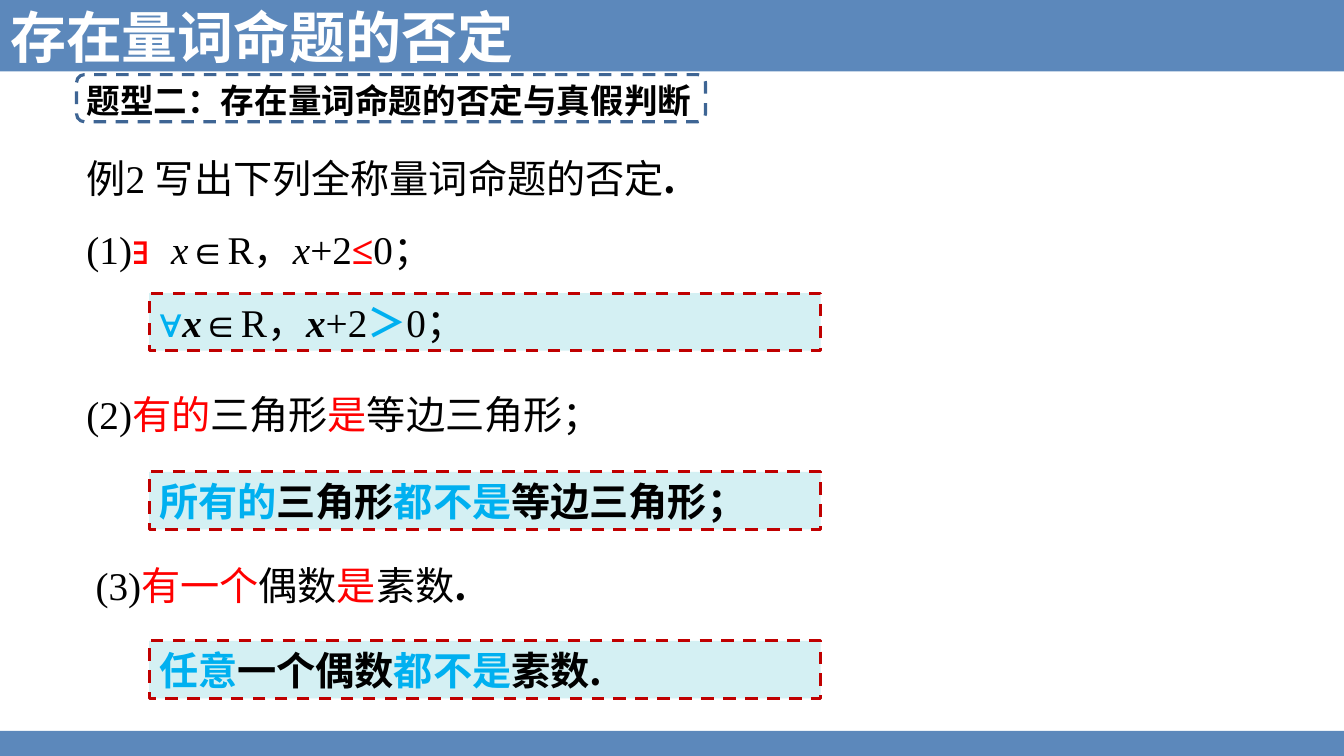
from pptx import Presentation
from pptx.dml.color import RGBColor
from pptx.enum import dml, shapes, text
from pptx.oxml import ns
from pptx.util import Cm, Pt
from lxml import etree

BLUE = RGBColor(0x5C, 0x88, 0xBB)
NAVY = RGBColor(0x3E, 0x65, 0x94)
SKY = RGBColor(0x00, 0xB0, 0xF0)
RED = RGBColor(0xFF, 0x00, 0x00)
WINE = RGBColor(0xC0, 0x00, 0x00)
PALE = RGBColor(0xD4, 0xF0, 0xF3)
BLACK = RGBColor(0x00, 0x00, 0x00)
WHITE = RGBColor(0xFF, 0xFF, 0xFF)
SANS = "Noto Sans CJK SC"
SERIF = "Times New Roman"
LEFT = Cm(1.93)


def style(run, size, color, face, bold=False, slant=False):
    """Format a run; Chinese glyphs always use the sans face."""
    font = run.font
    font.size, font.name = Pt(size), face
    font.bold, font.italic = bold, slant
    font.color.rgb = color
    east = etree.SubElement(run._r.get_or_add_rPr(), ns.qn("a:ea"))
    east.set("typeface", SANS)


def write(para, parts, face=SERIF, bold=False, space=None):
    """Fill a paragraph with (words, colour, flags); b is bold, i italic, s sans."""
    para.alignment = text.PP_ALIGN.JUSTIFY
    if space:
        para.line_spacing = space
    for words, color, flags in parts:
        run = para.add_run()
        run.text = words
        style(run, 28, color, SANS if "s" in flags else face,
              bold or "b" in flags, "i" in flags)


def add_text(slide, left, top, width, height, wrap=True):
    frame = slide.shapes.add_textbox(left, top, width, height).text_frame
    frame.word_wrap = wrap
    return frame


def add_box(slide, kind, left, top, width, height, fill=None, line=None):
    """Add a plain shape, with a dashed outline if a line colour is given."""
    box = slide.shapes.add_shape(kind, left, top, width, height)
    box.shadow.inherit = False
    if fill is None:
        box.fill.background()
    else:
        box.fill.solid()
        box.fill.fore_color.rgb = fill
    if line is None:
        box.line.fill.background()
    else:
        box.line.color.rgb = line
        box.line.width = Pt(2.25)
        box.line.dash_style = dml.MSO_LINE.DASH
    return box


def add_title(slide, words):
    title = slide.shapes.title
    title.left, title.top, title.width, title.height = 0, 0, Cm(17.27), Cm(1.83)
    frame = title.text_frame
    frame.text = words
    frame.auto_size = text.MSO_AUTO_SIZE.NONE
    frame.vertical_anchor = text.MSO_ANCHOR.MIDDLE
    frame.paragraphs[0].alignment = text.PP_ALIGN.LEFT
    style(frame.paragraphs[0].runs[0], 40, WHITE, SANS, True)


def add_bands(slide, width):
    """Put the top and bottom bands behind the title."""
    for top, height in ((0, Cm(1.8)), (Cm(18.42), Cm(0.63))):
        band = add_box(slide, shapes.MSO_SHAPE.RECTANGLE, 0, top, width, height, BLUE)
        slide.shapes.title.element.addprevious(band.element)


def add_topic(slide, words):
    frame = add_text(slide, LEFT, Cm(1.9), Cm(18.75), Cm(1.27))
    frame.text = words
    style(frame.paragraphs[0].runs[0], 24, BLACK, SANS, True)
    add_box(slide, shapes.MSO_SHAPE.ROUNDED_RECTANGLE, LEFT, Cm(1.88),
            Cm(15.85), Cm(1.19), line=NAVY)


def add_answer(slide, top, parts, face=SANS, bold=True):
    box = add_box(slide, shapes.MSO_SHAPE.RECTANGLE, Cm(3.76), top,
                  Cm(16.92), Cm(1.45), PALE, WINE)
    frame = box.text_frame
    frame.word_wrap = True
    frame.vertical_anchor = text.MSO_ANCHOR.MIDDLE
    write(frame.paragraphs[0], parts, face, bold)


def main():
    deck = Presentation()
    deck.slide_width, deck.slide_height = Cm(33.87), Cm(19.05)
    slide = deck.slides.add_slide(deck.slide_layouts[5])
    add_title(slide, "存在量词命题的否定")
    add_bands(slide, deck.slide_width)
    add_topic(slide, "题型二：存在量词命题的否定与真假判断")

    frame = add_text(slide, LEFT, Cm(3.18), Cm(22.66), Cm(3.63))
    write(frame.paragraphs[0], [("例2 写出下列全称量词命题的否定", BLACK, ""),
                                (".", BLACK, "sb")], space=1.5)
    write(frame.add_paragraph(), [
        ("(1)", BLACK, ""), ("∃", RED, ""), ("x", BLACK, "i"), ("∈R，", BLACK, ""),
        ("x", BLACK, "i"), ("+2", BLACK, ""), ("≤", RED, "b"), ("0；", BLACK, "")],
        space=1.5)
    add_answer(slide, Cm(7.39), [
        ("∀", SKY, ""), ("x", BLACK, "bi"), ("∈R，", BLACK, ""), ("x", BLACK, "bi"),
        ("+2", BLACK, ""), ("＞", SKY, "b"), ("0；", BLACK, "")], SERIF, False)

    frame = add_text(slide, LEFT, Cm(9.35), Cm(21.49), Cm(1.8))
    write(frame.paragraphs[0], [
        ("(2)", BLACK, ""), ("有的", RED, ""), ("三角形", BLACK, ""),
        ("是", RED, ""), ("等边三角形；", BLACK, "")], space=1.3)
    add_answer(slide, Cm(11.89), [("所有的", SKY, ""), ("三角形", BLACK, ""),
                                  ("都不是", SKY, ""), ("等边三角形；", BLACK, "")])

    frame = add_text(slide, Cm(2.16), Cm(14.02), Cm(10.06), Cm(1.45), False)
    write(frame.paragraphs[0], [
        ("(3)", BLACK, ""), ("有一个", RED, ""), ("偶数", BLACK, ""),
        ("是", RED, ""), ("素数", BLACK, ""), (".", BLACK, "sb")])
    add_answer(slide, Cm(16.15), [("任意", SKY, ""), ("一个偶数", BLACK, ""),
                                  ("都不是", SKY, ""), ("素数.", BLACK, "")])
    deck.save("out.pptx")


if __name__ == "__main__":
    main()
